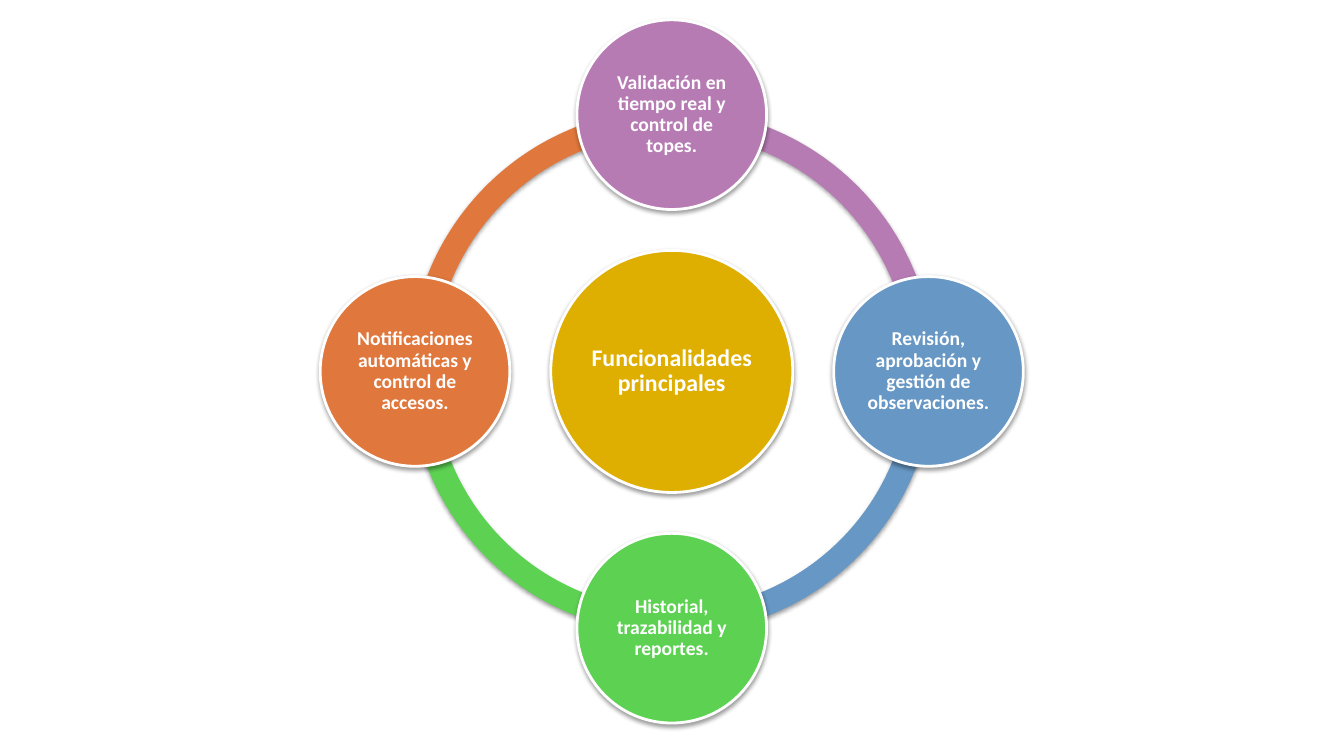
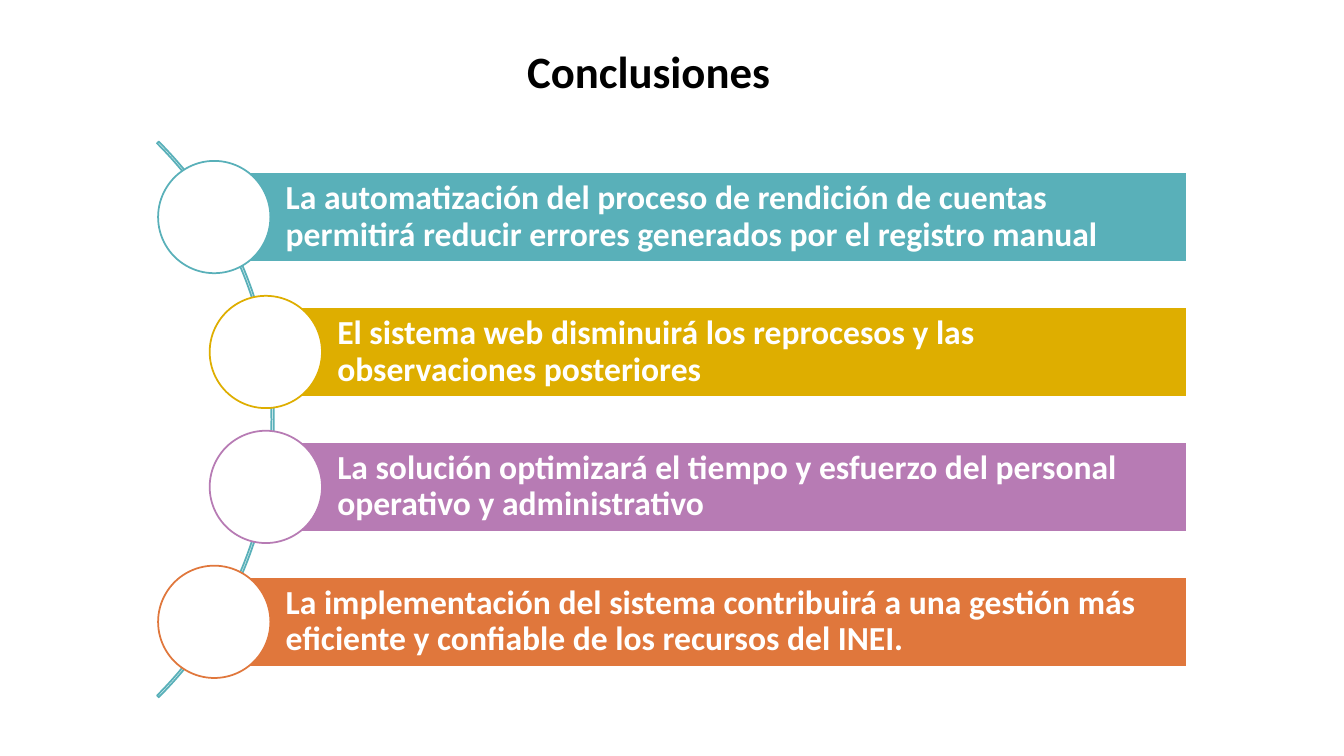
import math
from dataclasses import dataclass
from typing import Optional

from lxml import etree
from pptx import Presentation
from pptx import util as u
from pptx.dml.color import RGBColor
from pptx.enum import shapes, text
from pptx.oxml import ns

COLORS = {
    "white": "FFFFFF", "black": "000000", "teal": "59B0B9", "gold": "DEAE00",
    "purple": "B77BB4", "orange": "E0773C", "blue": "6797C4", "green": "5CD152",
}
FONT = "Calibri"
SHAPE = shapes.MSO_SHAPE
ALIGN = text.PP_ALIGN


@dataclass(frozen=True)
class Feature:
    label: str
    color: str
    angle: int  # clockwise degrees, 0 at the right


@dataclass(frozen=True)
class Conclusion:
    label: str
    color: str
    left: float


FEATURES = [
    Feature("Validación en tiempo real y control de topes.", "purple", 270),
    Feature("Revisión, aprobación y gestión de observaciones.", "blue", 0),
    Feature("Historial, trazabilidad y reportes.", "green", 90),
    Feature("Notificaciones automáticas y control de accesos.", "orange", 180),
]
CONCLUSIONS = [
    Conclusion("La automatización del proceso de rendición de cuentas permitirá "
               "reducir errores generados por el registro manual", "teal", 5.4),
    Conclusion("El sistema web disminuirá los reprocesos y las observaciones "
               "posteriores", "gold", 6.7),
    Conclusion("La solución optimizará el tiempo y esfuerzo del personal operativo "
               "y administrativo", "purple", 6.7),
    Conclusion("La implementación del sistema contribuirá a una gestión más eficiente "
               "y confiable de los recursos del INEI.", "orange", 5.4),
]


def rgb(name: str) -> RGBColor:
    return RGBColor.from_string(COLORS[name])


# Shared drawing functions
def add_shadow(shape) -> None:
    effects = shape._element.spPr.find(ns.qn("a:effectLst"))
    shadow = etree.SubElement(effects, ns.qn("a:outerShdw"), blurRad="40000",
                              dist="20000", dir="5400000", rotWithShape="0")
    color = etree.SubElement(shadow, ns.qn("a:srgbClr"), val=COLORS["black"])
    etree.SubElement(color, ns.qn("a:alpha"), val="38000")


def draw_shape(page, kind, left: float, top: float, width: float, height: float,
               fill: Optional[str] = None, line: Optional[str] = None,
               weight: float = 1.25, shadow: bool = False):
    shape = page.shapes.add_shape(kind, u.Cm(left), u.Cm(top), u.Cm(width), u.Cm(height))
    shape.shadow.inherit = False
    if fill:
        shape.fill.solid()
        shape.fill.fore_color.rgb = rgb(fill)
    else:
        shape.fill.background()
    if line:
        shape.line.color.rgb = rgb(line)
        shape.line.width = u.Pt(weight)
    else:
        shape.line.fill.background()
    if shadow:
        add_shadow(shape)
    return shape


def draw_round(page, kind, x: float, y: float, size: float, **style):
    """Draw a shape of equal sides around the centre x, y."""
    return draw_shape(page, kind, x - size / 2, y - size / 2, size, size, **style)


def draw_arc(page, x: float, y: float, size: float, start: int, end: int,
             band: float, **style) -> None:
    arc = draw_round(page, SHAPE.BLOCK_ARC, x, y, size, **style)
    # Angles are stored in 60000ths of a degree, adjustments in 100000ths
    arc.adjustments[0] = start * 0.6
    arc.adjustments[1] = end * 0.6
    arc.adjustments[2] = band / size


def write(box, words: str, size: float, color: str = "white", align=ALIGN.CENTER,
          inset: float = 0.05, left_inset: Optional[float] = None,
          spacing: float = 0.9) -> None:
    frame = box.text_frame
    frame.word_wrap = True
    frame.vertical_anchor = text.MSO_ANCHOR.MIDDLE
    frame.margin_top = frame.margin_right = frame.margin_bottom = u.Cm(inset)
    frame.margin_left = u.Cm(inset if left_inset is None else left_inset)
    para = frame.paragraphs[0]
    para.alignment = align
    para.line_spacing = spacing
    span = para.add_run()
    span.text = words
    span.font.name = FONT
    span.font.size = u.Pt(size)
    span.font.bold = True
    span.font.color.rgb = rgb(color)


# Slide 1: features around a hub
def build_features(page) -> None:
    x, y, orbit = 16.93, 9.36, 6.47
    for feature in reversed(FEATURES):
        draw_arc(page, x, y, 13.23, feature.angle, (feature.angle + 90) % 360, 0.61,
                 fill=feature.color, shadow=True)
    rim = dict(line="white", weight=2, shadow=True)
    hub = draw_round(page, SHAPE.OVAL, x, y, 6.1, fill="gold", **rim)
    write(hub, "Funcionalidades principales", 17)
    for feature in FEATURES:
        angle = math.radians(feature.angle)
        circle = draw_round(page, SHAPE.OVAL, x + orbit * math.cos(angle),
                            y + orbit * math.sin(angle), 4.78, fill=feature.color, **rim)
        write(circle, feature.label, 14)


# Slide 2: conclusions along an arc
def build_conclusions(page) -> None:
    title = page.shapes.add_textbox(u.Cm(1.55), u.Cm(0.86), u.Cm(29.6), u.Cm(1.85))
    write(title, "Conclusiones", 32, color="black", spacing=1.0)

    middle, pitch, bar_height, bar_right = 10.57, 3.4, 2.26, 29.9
    draw_arc(page, -3, middle, 19.8, 315, 45, 0.06, line="teal")
    first = middle - pitch * (len(CONCLUSIONS) - 1) / 2
    for index, item in enumerate(CONCLUSIONS):
        y = first + index * pitch
        bar = draw_shape(page, SHAPE.RECTANGLE, item.left, y - bar_height / 2,
                         bar_right - item.left, bar_height, fill=item.color, line="white")
        write(bar, item.label, 24, align=ALIGN.LEFT, inset=0.18, left_inset=1.8)
        draw_round(page, SHAPE.OVAL, item.left, y, 2.83, fill="white", line=item.color)


def main() -> None:
    deck = Presentation()
    deck.slide_width, deck.slide_height = u.Cm(33.87), u.Cm(19.05)
    for build in (build_features, build_conclusions):
        build(deck.slides.add_slide(deck.slide_layouts[6]))
    deck.save("out.pptx")


if __name__ == "__main__":
    main()
